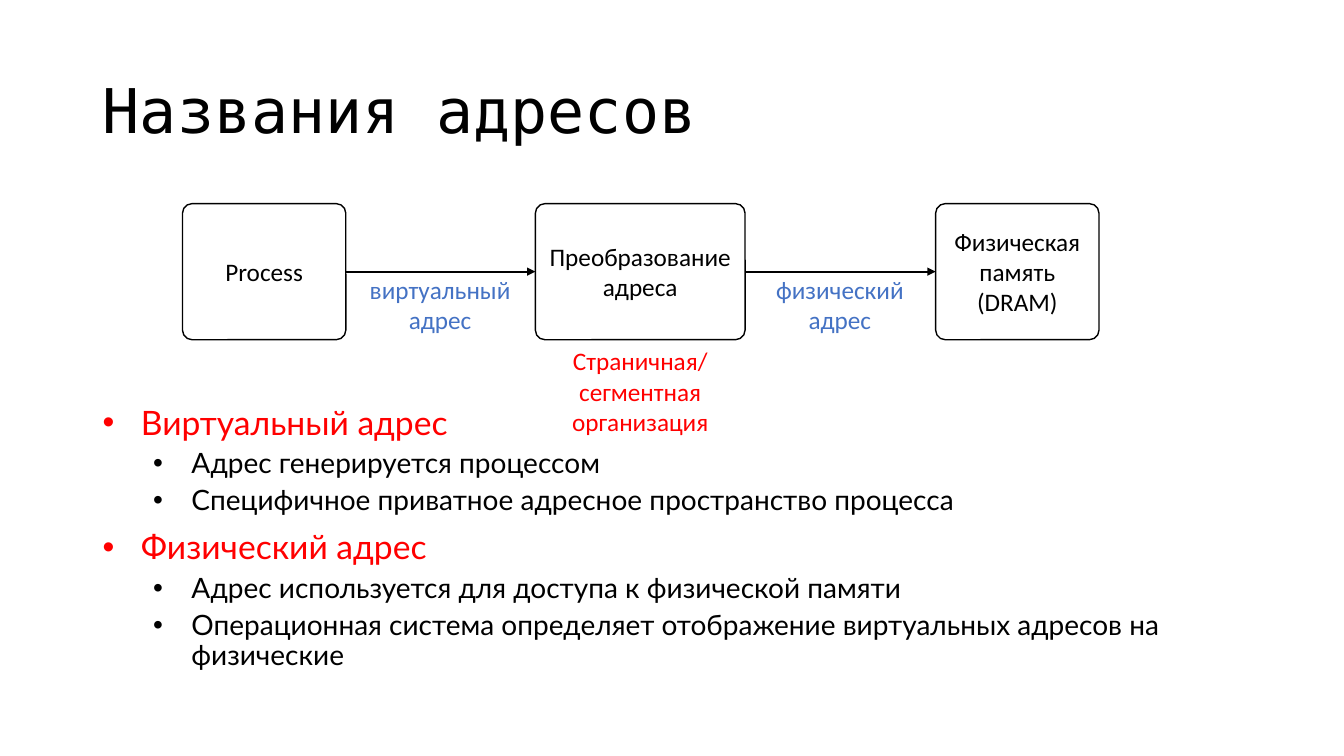
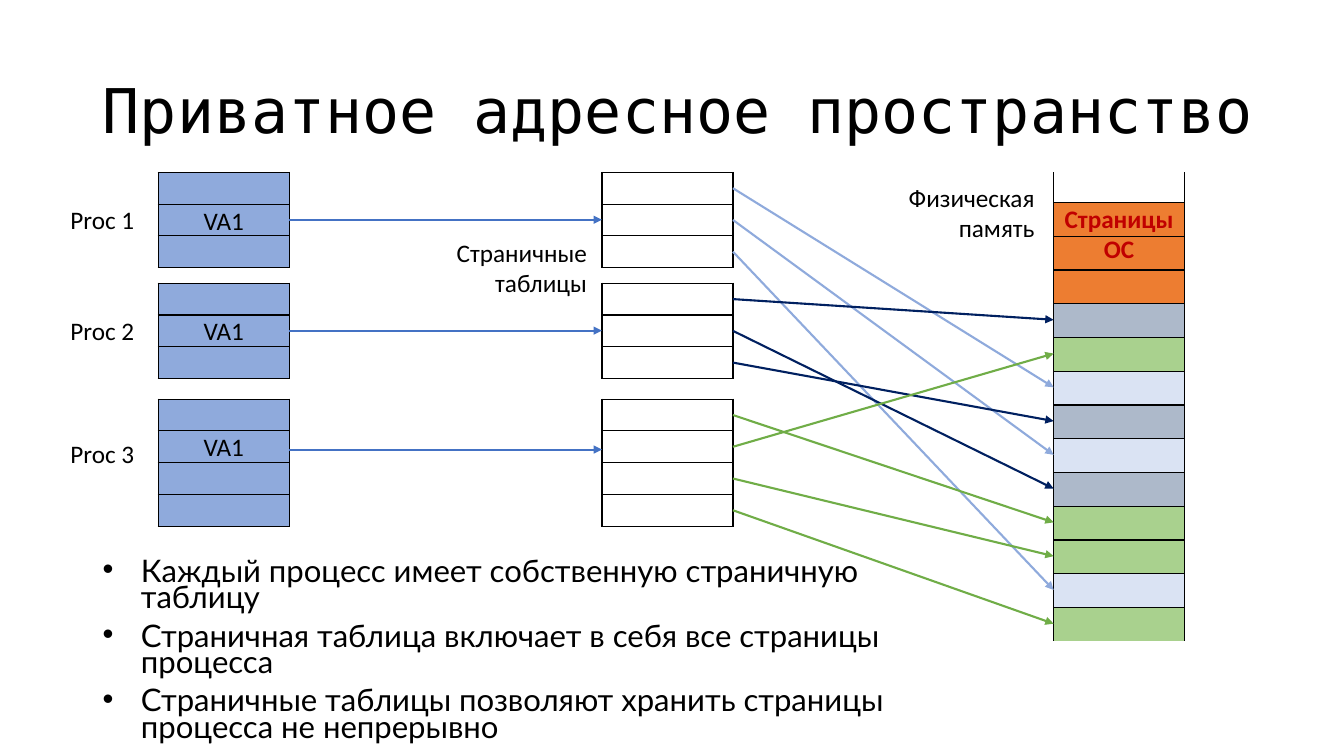
"""Build two slides on virtual and physical addresses."""
import pptx
import pptx.dml.color
import pptx.enum.shapes
import pptx.enum.text
import pptx.oxml.ns
import pptx.util
from lxml import etree

Inches = pptx.util.Inches
Pt = pptx.util.Pt
rgb = pptx.dml.color.RGBColor.from_string
qn = pptx.oxml.ns.qn
ALIGN = pptx.enum.text.PP_ALIGN
ANCHOR = pptx.enum.text.MSO_ANCHOR

BLACK, WHITE, RED, BLUE = "000000", "FFFFFF", "FF0000", "4472C4"
PALE_BLUE, NAVY, GREEN = "8FAADC", "002060", "70AD47"


def write(tf, text, color=BLACK, align=ALIGN.CENTER, bold=False):
    tf.word_wrap = True
    for i, line in enumerate(text.split("\n")):
        p = tf.paragraphs[0] if i == 0 else tf.add_paragraph()
        p.alignment = align
        r = p.add_run()
        r.text = line
        r.font.size = Pt(18)
        r.font.name = "Calibri"
        r.font.bold = bold
        r.font.color.rgb = rgb(color)


def arrow(s, x1, y1, x2, y2, color):
    c = s.shapes.add_connector(pptx.enum.shapes.MSO_CONNECTOR.STRAIGHT,
                               Inches(x1), Inches(y1), Inches(x2), Inches(y2))
    c.line.color.rgb = rgb(color)
    c.line.width = Pt(1.5)
    etree.SubElement(c.line._get_or_add_ln(), qn("a:tailEnd"), type="triangle")
    etree.SubElement(c._element.spPr, qn("a:effectLst"))
    return c


prs = pptx.Presentation()
prs.slide_width = Inches(13.33)
prs.slide_height = Inches(7.5)

pages = [
    ("Названия адресов", 11.5, (0.92, 3.98, 11.5, 2.78), 0.9,
     [(24, RED, 10), (20, BLACK, 5)],
     [(0, "Виртуальный адрес"),
      (1, "Адрес генерируется процессом"),
      (1, "Специфичное приватное адресное пространство процесса"),
      (0, "Физический адрес"),
      (1, "Адрес используется для доступа к физической памяти"),
      (1, "Операционная система определяет отображение виртуальных адресов на физические")]),
    ("Приватное адресное пространство", 11.95, (0.92, 5.52, 8.18, 1.45), 0.7,
     [(22.2, BLACK, 9)],
     [(0, "Каждый процесс имеет собственную страничную таблицу"),
      (0, "Страничная таблица включает в себя все страницы процесса"),
      (0, "Страничные таблицы позволяют хранить страницы процесса не непрерывно")]),
]

for title, title_width, body_at, spacing, levels, items in pages:
    s = prs.slides.add_slide(prs.slide_layouts[5])
    sp = s.shapes.title
    sp.left, sp.top, sp.width, sp.height = map(Inches, (0.92, 0.4, title_width, 1.45))
    tf = sp.text_frame
    tf.auto_size = pptx.enum.text.MSO_AUTO_SIZE.NONE
    tf.vertical_anchor = ANCHOR.MIDDLE
    p = tf.paragraphs[0]
    p.alignment = ALIGN.LEFT
    p.line_spacing = 0.9
    r = p.add_run()
    r.text = title
    r.font.size = Pt(44)
    r.font.name = "DejaVu Sans Mono"
    r.font.color.rgb = rgb(BLACK)

    tf = s.shapes.add_textbox(*map(Inches, body_at)).text_frame
    tf.word_wrap = True
    for i, (level, text) in enumerate(items):
        size, color, before = levels[level]
        p = tf.paragraphs[0] if i == 0 else tf.add_paragraph()
        p.level = level
        p.line_spacing = spacing
        p.space_before = Pt(before if i else 0)
        pPr = p._p.get_or_add_pPr()
        pPr.set("marL", str(Inches(0.38 + 0.5 * level)))
        pPr.set("indent", str(Inches(-0.38)))
        etree.SubElement(pPr, qn("a:buFont"), typeface="Arial")
        etree.SubElement(pPr, qn("a:buChar"), char="•")
        r = p.add_run()
        r.text = text
        r.font.size = Pt(size)
        r.font.name = "Lato"
        r.font.color.rgb = rgb(color)

s = prs.slides[0]
boxes = []
for x, width, text in [(1.81, 1.62, "Process"),
                       (5.31, 2.08, "Преобразование адреса"),
                       (9.28, 1.62, "Физическая память (DRAM)")]:
    sp = s.shapes.add_shape(pptx.enum.shapes.MSO_SHAPE.ROUNDED_RECTANGLE,
                            Inches(x), Inches(2.02), Inches(width), Inches(1.35))
    sp.adjustments[0] = 0.07
    sp.shadow.inherit = False
    sp.fill.solid()
    sp.fill.fore_color.rgb = rgb(WHITE)
    sp.line.color.rgb = rgb(BLACK)
    sp.line.width = Pt(1)
    sp.text_frame.vertical_anchor = ANCHOR.MIDDLE
    write(sp.text_frame, text)
    boxes.append(sp)

for start, end in zip(boxes, boxes[1:]):
    c = arrow(s, 0, 0, 1, 1, BLACK)
    c.begin_connect(start, 3)
    c.end_connect(end, 1)

for x, y, width, height, text, color in [
        (3.56, 2.67, 1.61, 0.71, "виртуальный\nадрес", BLUE),
        (7.59, 2.67, 1.48, 0.71, "физический\nадрес", BLUE),
        (5.56, 3.38, 1.58, 1.01, "Страничная/сегментная организация", RED)]:
    tb = s.shapes.add_textbox(Inches(x), Inches(y), Inches(width), Inches(height))
    write(tb.text_frame, text, color)

s = prs.slides[1]
ROW, FRAME = 0.315, 0.335
PROC_X, PAGE_X, RAM_X, COL = 1.57, 5.97, 10.45, 1.3
PROC_TOPS, PROC_ROWS = [1.71, 2.81, 3.96], [3, 3, 4]
ORANGE, GREY, LIME, ICE = "ED7D31", "ADB9CA", "A9D18E", "DAE3F3"
ram_fills = [None, ORANGE, ORANGE, ORANGE, GREY, LIME, ICE, GREY, ICE, GREY,
             LIME, LIME, ICE, LIME]

tables = [(x, top, [fill] * n, ROW)
          for x, fill in [(PROC_X, PALE_BLUE), (PAGE_X, WHITE)]
          for top, n in zip(PROC_TOPS, PROC_ROWS)]
tables.append((RAM_X, 1.71, ram_fills, FRAME))
for x, top, fills, row_height in tables:
    heights = [row_height if fill else 0.3 for fill in fills]
    tbl = s.shapes.add_table(len(fills), 1, Inches(x), Inches(top),
                             Inches(COL), Inches(sum(heights))).table
    tbl.first_row = tbl.horz_banding = False
    for i, (fill, height) in enumerate(zip(fills, heights)):
        tbl.rows[i].height = Inches(height)
        cell = tbl.cell(i, 0)
        cell.margin_top = cell.margin_bottom = 0
        etree.SubElement(cell.text_frame.paragraphs[0]._p, qn("a:endParaRPr"), sz="800")
        open_sides = []
        if x == RAM_X:
            open_sides = ["T"] * (i == 0) + ["B"] * (i == len(fills) - 1)
        tcPr = cell._tc.get_or_add_tcPr()
        for side in "LRTB":
            ln = etree.SubElement(tcPr, qn("a:ln" + side), w=str(Pt(1)))
            if side in open_sides:
                etree.SubElement(ln, qn("a:noFill"))
            else:
                line_fill = etree.SubElement(ln, qn("a:solidFill"))
                etree.SubElement(line_fill, qn("a:srgbClr"), val=BLACK)
        if fill:
            cell.fill.solid()
            cell.fill.fore_color.rgb = rgb(fill)
        else:
            cell.fill.background()

labels = [
    (4.41, 2.3, 1.51, 0.71, "Страничные\nтаблицы", BLACK, ALIGN.RIGHT, False),
    (8.9, 1.76, 1.46, 0.71, "Физическая\nпамять", BLACK, ALIGN.RIGHT, False),
    (RAM_X, 1.97, COL, 0.71, "Страницы\nОС", "C00000", ALIGN.CENTER, True),
]
for i, (proc_y, va_y) in enumerate([(1.98, 1.99), (3.08, 3.08), (4.3, 4.23)]):
    labels.append((0.6, proc_y, 0.84, 0.4, f"Proc {i + 1}", BLACK, ALIGN.LEFT, False))
    labels.append((1.92, va_y, 0.61, 0.4, "VA1", BLACK, ALIGN.LEFT, False))
for x, y, width, height, text, color, align, bold in labels:
    tf = s.shapes.add_textbox(Inches(x), Inches(y), Inches(width), Inches(height)).text_frame
    write(tf, text, color, align, bold)
    tf.word_wrap = False

for y in [2.18, 3.28, 4.46]:
    arrow(s, PROC_X + COL, y, PAGE_X, y, BLUE)

page_maps = [(PALE_BLUE, [6, 8, 12]), (NAVY, [4, 9, 7]), (GREEN, [10, 5, 11, 13])]
for top, (color, frames) in zip(PROC_TOPS, page_maps):
    for i, frame in enumerate(frames):
        arrow(s, PAGE_X + COL, top + ROW * (i + 0.5),
              RAM_X, 2 + FRAME * (frame - 0.5), color)

prs.save("out.pptx")
